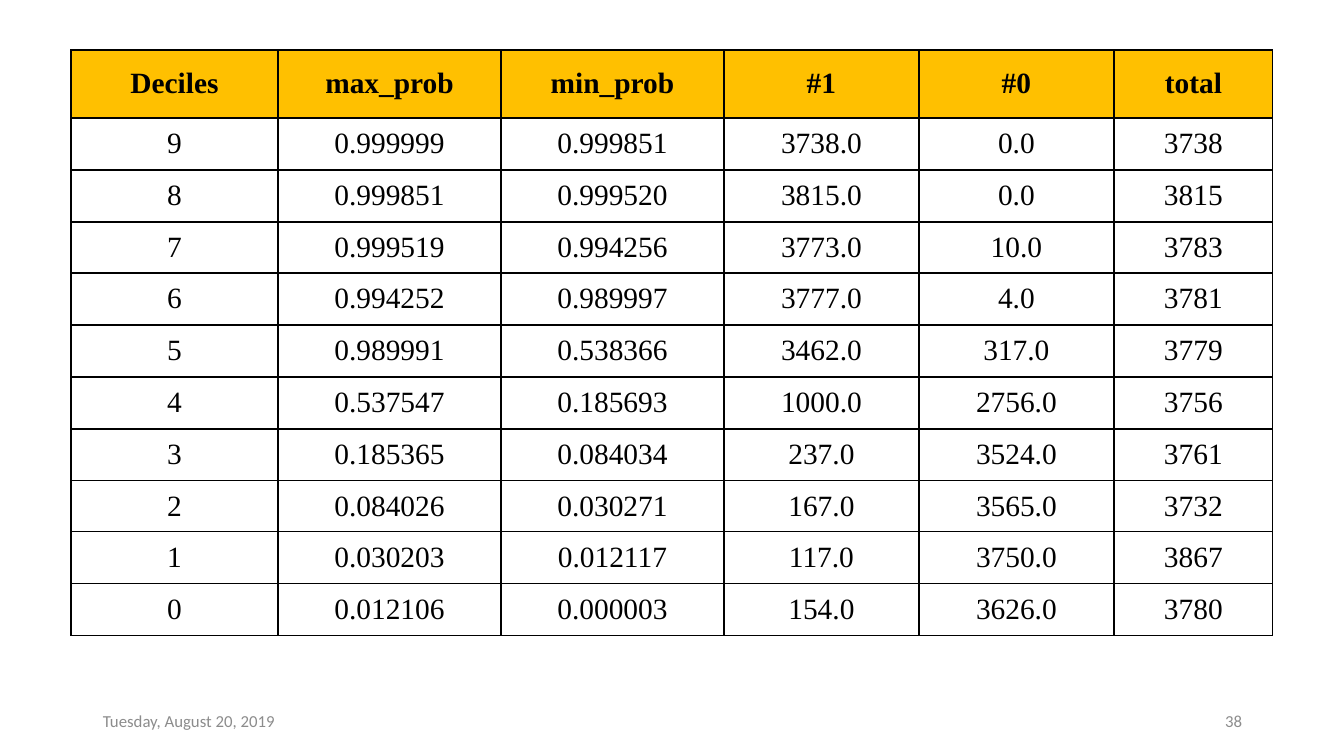
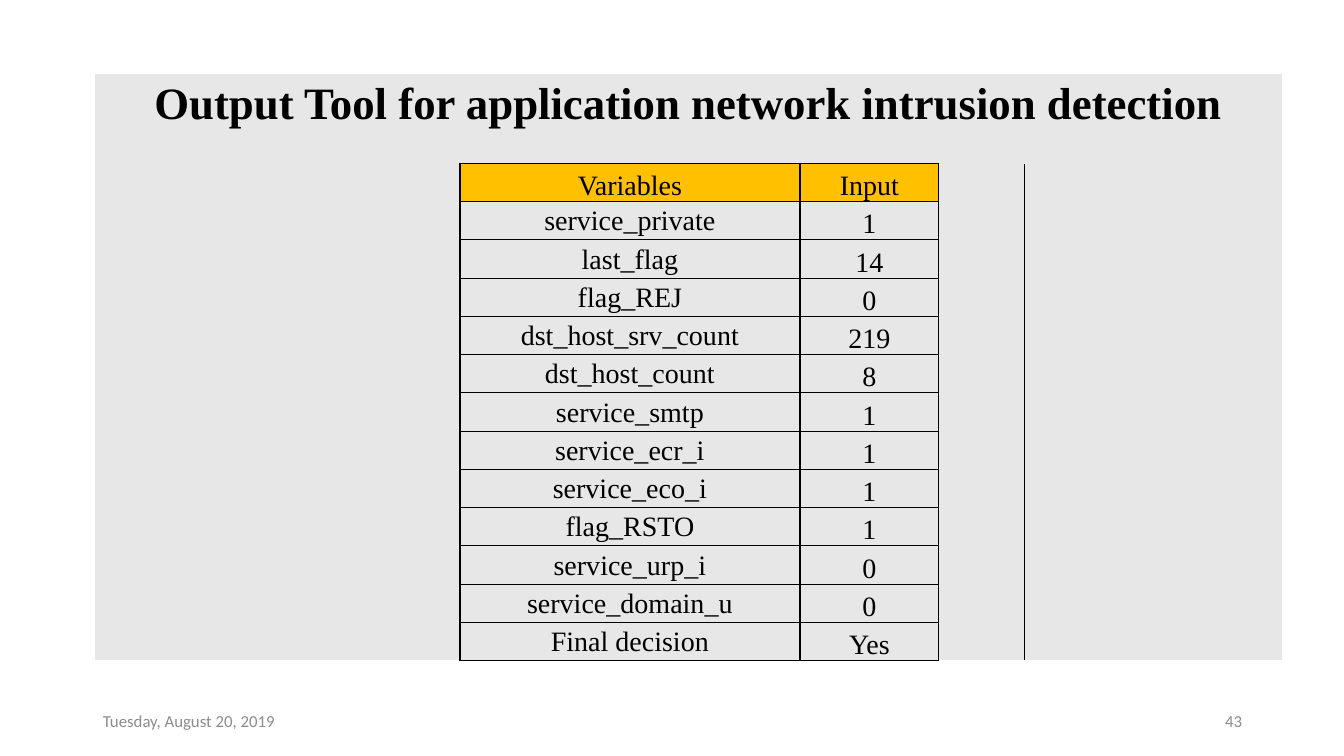
from dataclasses import dataclass
from itertools import pairwise

from lxml import etree
from pptx import Presentation
from pptx import util as u
from pptx.dml.color import RGBColor
from pptx.enum import text as t
from pptx.oxml.ns import qn

PX = 914400 / 100.8
BLACK = RGBColor(0, 0, 0)
GOLD = RGBColor(0xFF, 0xC0, 0x00)
GREY = RGBColor(0xE7, 0xE7, 0xE7)
MUTED = RGBColor(0x8C, 0x8C, 0x8C)
SERIF, SANS = "Times New Roman", "Calibri"
PLAIN = "{2D5ABB26-0587-4C30-8999-92F81FD0307C}"  # no style, no grid
SIDES = {"L": (0, -1), "R": (0, 1), "T": (-1, 0), "B": (1, 0)}
MIDDLE, BOTTOM = t.MSO_ANCHOR.MIDDLE, t.MSO_ANCHOR.BOTTOM
LEFT, CENTER, RIGHT = t.PP_ALIGN.LEFT, t.PP_ALIGN.CENTER, t.PP_ALIGN.RIGHT


@dataclass
class Style:
    size: int
    color: RGBColor = BLACK
    name: str = SERIF
    bold: bool = False


@dataclass
class Grid:
    xs: list[int]             # column edges
    ys: list[int]             # row edges
    data: list[list[str]]     # ruled cells, header first
    head: Style
    body: Style
    pad: tuple[int, int, int, int]
    start: tuple[int, int] = (0, 0)   # first ruled cell
    back: RGBColor | None = None
    anchors: tuple = (MIDDLE,)        # by column, last one repeats
    top: t.MSO_ANCHOR = MIDDLE        # header anchor


def emu(px: float) -> u.Emu:
    return u.Emu(round(px * PX))


def steps(first: int, last: int, count: int) -> list[int]:
    """Edges of equal parts, on whole pixels."""
    return [round(first + i * (last - first) / count) for i in range(count + 1)]


def write(frame, words: str, style: Style, align) -> None:
    para = frame.paragraphs[0]
    para.alignment = align
    run = para.add_run()
    run.text = words
    run.font.color.rgb = style.color
    form = {"size": u.Pt(style.size), "name": style.name, "bold": style.bold}
    for key, val in form.items():
        setattr(run.font, key, val)


def rule(cell, side: str) -> None:
    line = etree.SubElement(cell._tc.get_or_add_tcPr(), qn("a:ln" + side), w="12700")
    fill = etree.SubElement(line, qn("a:solidFill"))
    etree.SubElement(fill, qn("a:srgbClr"), val=str(BLACK))


def paint(cell, color: RGBColor | None) -> None:
    if color is None:
        cell.fill.background()
    else:
        cell.fill.solid()
        cell.fill.fore_color.rgb = color


def draw_grid(slide, grid: Grid):
    xs, ys = grid.xs, grid.ys
    rows, cols = len(ys) - 1, len(xs) - 1
    shape = slide.shapes.add_table(rows, cols, emu(xs[0]), emu(ys[0]),
                                   emu(xs[-1] - xs[0]), emu(ys[-1] - ys[0]))
    next(shape.element.iter(qn("a:tableStyleId"))).text = PLAIN
    table = shape.table
    table.first_row = table.horz_banding = False
    for col, (a, b) in zip(table.columns, pairwise(xs)):
        col.width = emu(b - a)
    for row, (a, b) in zip(table.rows, pairwise(ys)):
        row.height = emu(b - a)

    # Place of each ruled cell and its words
    top, left = grid.start
    words = {(top + r, left + c): word
             for r, line in enumerate(grid.data) for c, word in enumerate(line)}
    sides = ("left", "top", "right", "bottom")
    for r in range(rows):
        for c in range(cols):
            cell = table.cell(r, c)
            for side, pad in zip(sides, grid.pad):
                setattr(cell, "margin_" + side, emu(pad))
            for side, (down, over) in SIDES.items():
                if (r, c) in words or (r + down, c + over) in words:
                    rule(cell, side)
            head = r == top and (r, c) in words
            paint(cell, GOLD if head else grid.back)
            if (r, c) in words:
                spot = min(c - left, len(grid.anchors) - 1)
                cell.vertical_anchor = grid.top if head else grid.anchors[spot]
                style = grid.head if head else grid.body
                write(cell.text_frame, words[r, c], style, CENTER)
    return table


def draw_foot(slide, num: int) -> None:
    for x, words, align in ((93, "Tuesday, August 20, 2019", LEFT),
                            (950, str(num), RIGHT)):
        box = slide.shapes.add_textbox(emu(x), emu(701), emu(302), emu(40))
        frame = box.text_frame
        frame.word_wrap = True
        frame.vertical_anchor = MIDDLE
        write(frame, words, Style(12, MUTED, SANS), align)


deck = Presentation()
deck.slide_width, deck.slide_height = emu(1344), emu(756)


def add_slide():
    return deck.slides.add_slide(deck.slide_layouts[6])


# Decile table
DECILES = """Deciles max_prob min_prob #1 #0 total
9 0.999999 0.999851 3738.0 0.0 3738
8 0.999851 0.999520 3815.0 0.0 3815
7 0.999519 0.994256 3773.0 10.0 3783
6 0.994252 0.989997 3777.0 4.0 3781
5 0.989991 0.538366 3462.0 317.0 3779
4 0.537547 0.185693 1000.0 2756.0 3756
3 0.185365 0.084034 237.0 3524.0 3761
2 0.084026 0.030271 167.0 3565.0 3732
1 0.030203 0.012117 117.0 3750.0 3867
0 0.012106 0.000003 154.0 3626.0 3780"""
slide = add_slide()
draw_grid(slide, Grid(
    xs=[71, 278, 501, 724, 919, 1114, 1273],
    ys=[50, *steps(118, 636, 10)],
    data=[line.split() for line in DECILES.splitlines()],
    head=Style(21, bold=True), body=Style(21), pad=(12, 6, 12, 6)))
draw_foot(slide, 38)

# Output tool: ruled inputs inside a grey sheet
INPUTS = [
    ["Variables", "Input"],
    ["service_private", "1"],
    ["last_flag", "14"],
    ["flag_REJ", "0"],
    ["dst_host_srv_count", "219"],
    ["dst_host_count", "8"],
    ["service_smtp", "1"],
    ["service_ecr_i", "1"],
    ["service_eco_i", "1"],
    ["flag_RSTO", "1"],
    ["service_urp_i", "0"],
    ["service_domain_u", "0"],
    ["Final decision", "Yes"],
]
slide = add_slide()
sheet = draw_grid(slide, Grid(
    xs=[*steps(95, 352, 3), 460, 800, *steps(939, 1282, 4)],
    ys=[74, 127, *steps(162, 659, len(INPUTS))],
    data=INPUTS, head=Style(20), body=Style(20), pad=(1, 1, 1, 0),
    start=(2, 4), back=GREY, anchors=(MIDDLE, BOTTOM), top=BOTTOM))
title = sheet.cell(0, 0)
title.merge(sheet.cell(0, 9))
title.vertical_anchor = BOTTOM
write(title.text_frame, "Output Tool for application network intrusion detection",
      Style(32, bold=True), CENTER)
draw_foot(slide, 43)

deck.save("out.pptx")
